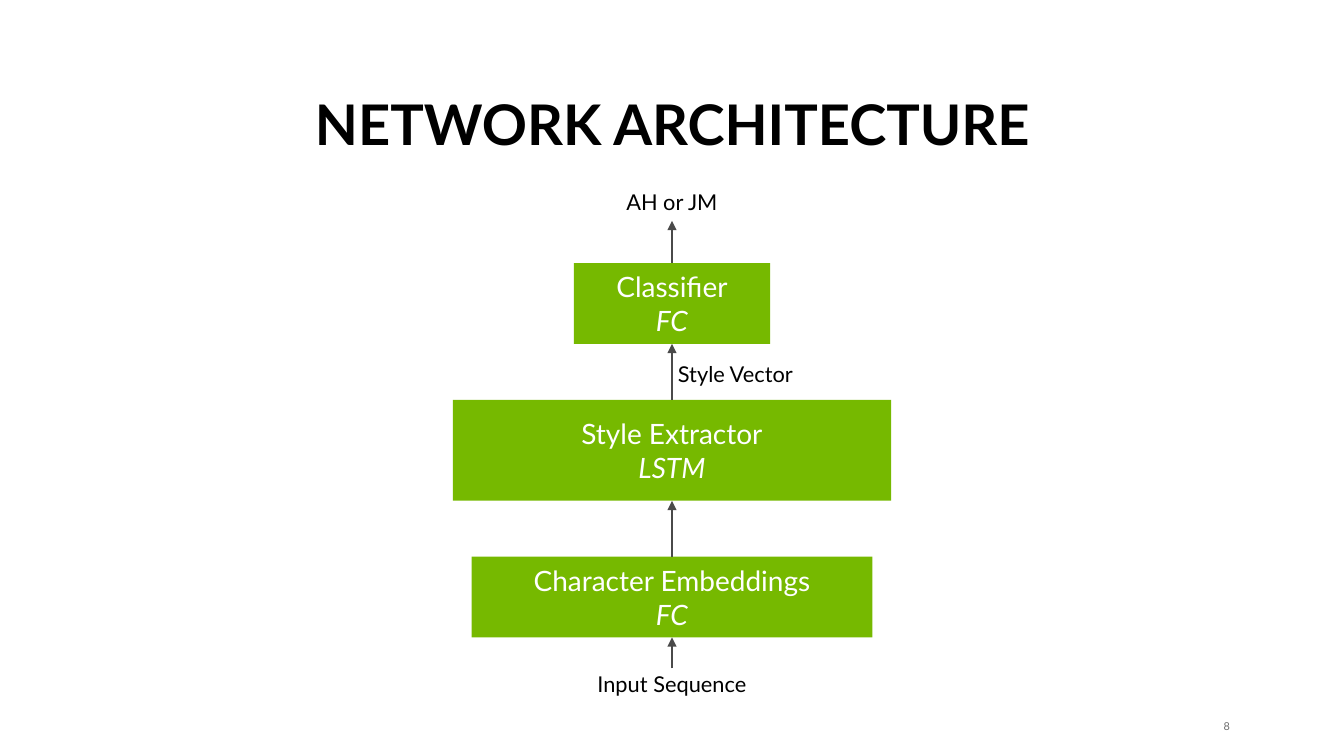
import pptx
import pptx.dml.color
import pptx.enum.shapes
import pptx.enum.text
import pptx.oxml
import pptx.oxml.ns
import pptx.util
from pptx.util import Cm

GREEN = pptx.dml.color.RGBColor(0x76, 0xB9, 0x00)
WHITE = pptx.dml.color.RGBColor(0xFF, 0xFF, 0xFF)
BLACK = pptx.dml.color.RGBColor(0x00, 0x00, 0x00)
ARROW_GRAY = pptx.dml.color.RGBColor(0x4A, 0x4A, 0x4A)
NUMBER_GRAY = pptx.dml.color.RGBColor(0x6E, 0x6E, 0x6E)

ALIGN = pptx.enum.text.PP_ALIGN
ANCHOR = pptx.enum.text.MSO_ANCHOR
CENTER_X = 15.24
LAYER_HEIGHT = 1.83
LABEL_HEIGHT = 0.79
TOP, BOTTOM = 0, 2


def write(shape, lines, size, color, bold=False, italic_lines=(), spacing=None,
          align=ALIGN.CENTER, anchor=ANCHOR.MIDDLE):
    frame = shape.text_frame
    frame.word_wrap = True
    frame.vertical_anchor = anchor
    frame.text = "\n".join(lines)
    for index, paragraph in enumerate(frame.paragraphs):
        paragraph.alignment = align
        paragraph.line_spacing = spacing
        font = paragraph.runs[0].font
        font.name = "Lato"
        font.size = pptx.util.Pt(size)
        font.color.rgb = color
        font.bold = bold
        font.italic = index in italic_lines


def add_layer(slide, name, kind, top, width, height=LAYER_HEIGHT):
    """Add a centred green network layer with its kind in italics."""
    layer = slide.shapes.add_shape(
        pptx.enum.shapes.MSO_SHAPE.RECTANGLE,
        Cm(CENTER_X - width / 2), Cm(top), Cm(width), Cm(height))
    layer.shadow.inherit = False
    layer.fill.solid()
    layer.fill.fore_color.rgb = GREEN
    layer.line.fill.background()
    write(layer, [name, kind], 18, WHITE, italic_lines=(1,))
    return layer


def add_label(slide, text, top, width, center=CENTER_X):
    label = slide.shapes.add_textbox(
        Cm(center - width / 2), Cm(top), Cm(width), Cm(LABEL_HEIGHT))
    write(label, [text], 14, BLACK, spacing=0.9)
    return label


def add_arrow(slide, lower, upper):
    """Point from the top of one element to the bottom of the one above."""
    arrow = slide.shapes.add_connector(
        pptx.enum.shapes.MSO_CONNECTOR.STRAIGHT, 0, 0, 0, 0)
    arrow.begin_connect(lower, TOP)
    arrow.end_connect(upper, BOTTOM)
    arrow.line.color.rgb = ARROW_GRAY
    arrow.line.width = pptx.util.Pt(0.75)
    head = pptx.oxml.parse_xml(
        f'<a:tailEnd {pptx.oxml.ns.nsdecls("a")} type="triangle"/>')
    arrow.line._get_or_add_ln().append(head)
    arrow._element.spPr.append(
        pptx.oxml.parse_xml(f'<a:effectLst {pptx.oxml.ns.nsdecls("a")}/>'))


def add_title(slide, text):
    title = slide.shapes.add_textbox(Cm(1.4), Cm(2.06), Cm(27.7), Cm(1.65))
    write(title, [text], 36, BLACK, bold=True, spacing=0.9, anchor=ANCHOR.BOTTOM)


def add_page_number(slide, number):
    page = slide.shapes.add_textbox(Cm(27), Cm(16.28), Cm(0.89), Cm(0.38))
    frame = page.text_frame
    frame.margin_left = frame.margin_right = 0
    frame.margin_top = frame.margin_bottom = 0
    write(page, [number], 7, NUMBER_GRAY, align=ALIGN.RIGHT)


def main():
    deck = pptx.Presentation()
    deck.slide_width, deck.slide_height = Cm(30.48), Cm(17.15)
    slide = deck.slides.add_slide(deck.slide_layouts[6])

    add_page_number(slide, "8")
    add_title(slide, "NETWORK ARCHITECTURE")

    flow = [
        add_label(slide, "Input Sequence", 15.16, 4.29),
        add_layer(slide, "Character Embeddings", "FC", 12.63, 9.09),
        add_layer(slide, "Style Extractor", "LSTM", 9.07, 9.94, 2.29),
        add_layer(slide, "Classifier", "FC", 5.97, 4.45),
        add_label(slide, "AH or JM", 4.22, 3.63),
    ]
    for lower, upper in zip(flow, flow[1:]):
        add_arrow(slide, lower, upper)
    add_label(slide, "Style Vector", 8.13, 3.63, center=16.68)

    deck.save("out.pptx")


if __name__ == "__main__":
    main()
